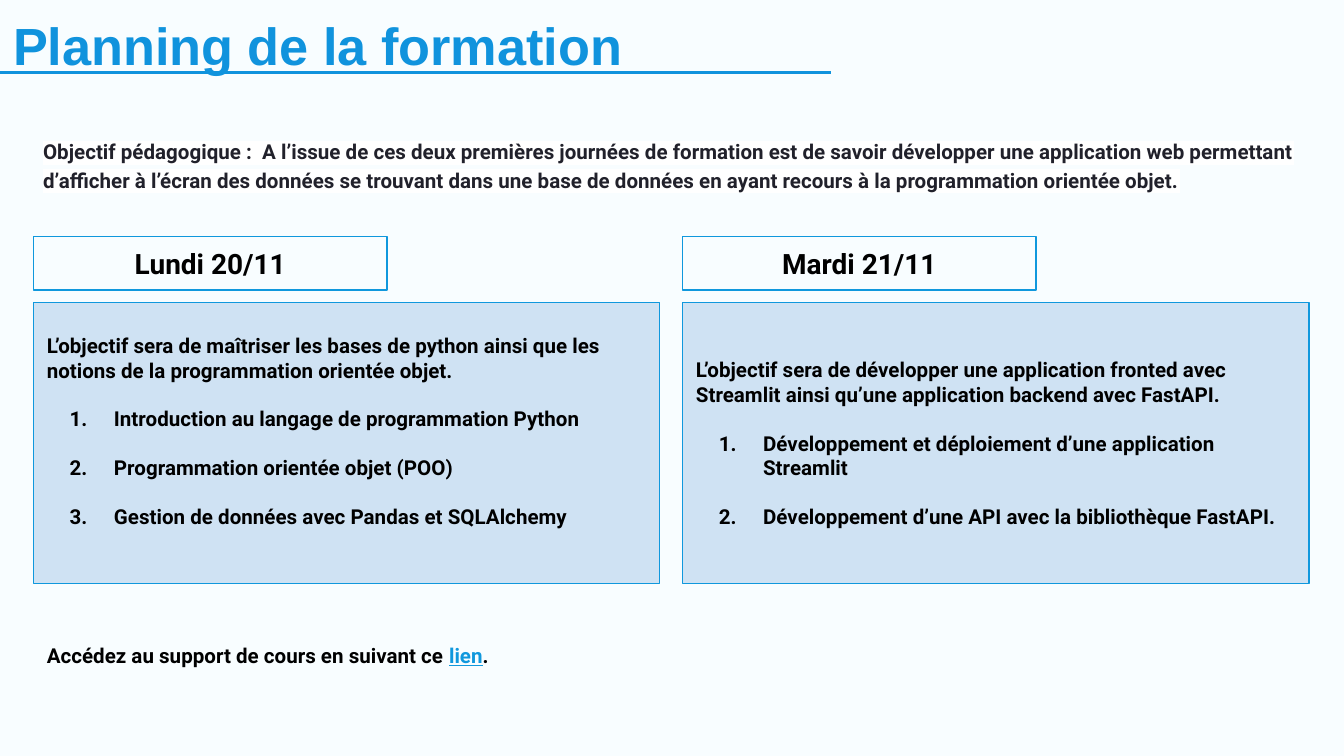
from dataclasses import dataclass

import lxml.etree
import pptx
import pptx.dml.color
import pptx.enum.shapes
import pptx.enum.text
import pptx.oxml.ns
import pptx.util

Inches = pptx.util.Inches
Pt = pptx.util.Pt
RGBColor = pptx.dml.color.RGBColor
Align = pptx.enum.text.PP_ALIGN
qn = pptx.oxml.ns.qn

BACKGROUND = RGBColor(0xF8, 0xFD, 0xFF)
TITLE_BLUE = RGBColor(0x10, 0x93, 0xDD)
BLUE = RGBColor(0x10, 0x98, 0xDD)
PALE_BLUE = RGBColor(0xCF, 0xE2, 0xF3)
BLACK = RGBColor(0, 0, 0)
DARK = RGBColor(0x21, 0x21, 0x2B)
WHITE = RGBColor(0xFF, 0xFF, 0xFF)

SLIDE_WIDTH = Inches(10)
SLIDE_HEIGHT = SLIDE_WIDTH * 9 // 16
MARGIN = 0.25
DAY_STEP = 4.83
INSET = 0.1
BLANK_LINE = 0.18


@dataclass(frozen=True)
class Day:
    heading: str
    goal: str
    topics: tuple[str, ...]
    bottom_inset: float = INSET


DAYS = (
    Day(
        "Lundi 20/11",
        "L’objectif sera de maîtriser les bases de python ainsi que les notions "
        "de la programmation orientée objet.",
        (
            "Introduction au langage de programmation Python",
            "Programmation orientée objet (POO)",
            "Gestion de données avec Pandas et SQLAlchemy",
        ),
        INSET + BLANK_LINE,
    ),
    Day(
        "Mardi 21/11",
        "L’objectif sera de développer une application fronted avec Streamlit "
        "ainsi qu’une application backend avec FastAPI.",
        (
            "Développement et déploiement d’une application Streamlit",
            "Développement d’une API avec la bibliothèque FastAPI.",
        ),
    ),
)


def add_run(paragraph, text: str, size: float = 11, color: RGBColor = BLACK,
            font: str = "Roboto"):
    run = paragraph.add_run()
    run.text = text
    run.font.name = font
    run.font.size = Pt(size)
    run.font.bold = True
    run.font.color.rgb = color
    return run


def highlight(run, color: RGBColor) -> None:
    mark = lxml.etree.Element(qn("a:highlight"))
    lxml.etree.SubElement(mark, qn("a:srgbClr"), val=str(color))
    run.font._element.find(qn("a:solidFill")).addnext(mark)


def number_paragraph(paragraph) -> None:
    properties = paragraph._p.get_or_add_pPr()
    properties.set("marL", str(Inches(0.5)))
    properties.set("indent", str(Inches(-0.33)))
    bullet_color = lxml.etree.SubElement(properties, qn("a:buClr"))
    lxml.etree.SubElement(bullet_color, qn("a:srgbClr"), val=str(BLACK))
    lxml.etree.SubElement(properties, qn("a:buFont"), typeface="Roboto")
    lxml.etree.SubElement(properties, qn("a:buAutoNum"), type="arabicPeriod")


def set_frame(frame, inset: float = INSET) -> None:
    frame.word_wrap = True
    frame.margin_left = frame.margin_right = Inches(inset)
    frame.margin_top = frame.margin_bottom = Inches(inset)


def add_text_box(slide, left: float, top: float, width: float, height: float,
                 inset: float = INSET):
    box = slide.shapes.add_textbox(
        Inches(left), Inches(top), Inches(width), Inches(height))
    set_frame(box.text_frame, inset)
    return box.text_frame.paragraphs[0]


def add_panel(slide, left: float, top: float, width: float, height: float,
              fill: RGBColor):
    panel = slide.shapes.add_shape(
        pptx.enum.shapes.MSO_SHAPE.RECTANGLE,
        Inches(left), Inches(top), Inches(width), Inches(height))
    panel.shadow.inherit = False
    panel.fill.solid()
    panel.fill.fore_color.rgb = fill
    panel.line.color.rgb = BLUE
    panel.line.width = Pt(0.75)
    set_frame(panel.text_frame)
    panel.text_frame.vertical_anchor = pptx.enum.text.MSO_ANCHOR.MIDDLE
    return panel.text_frame


def add_day(slide, day: Day, left: float) -> None:
    heading = add_panel(slide, left, 1.76, 2.63, 0.4, BACKGROUND).paragraphs[0]
    heading.alignment = Align.CENTER
    add_run(heading, day.heading, 15)

    program = add_panel(slide, left, 2.25, 4.66, 2.09, PALE_BLUE)
    program.margin_bottom = Inches(day.bottom_inset)
    goal = program.paragraphs[0]
    goal.alignment = Align.LEFT
    add_run(goal, day.goal)
    for topic in day.topics:
        paragraph = program.add_paragraph()
        number_paragraph(paragraph)
        paragraph.alignment = Align.LEFT
        paragraph.space_before = Inches(BLANK_LINE)
        add_run(paragraph, topic)


def add_title(slide) -> None:
    rule = slide.shapes.add_connector(
        pptx.enum.shapes.MSO_CONNECTOR.STRAIGHT,
        Inches(0), Inches(0.54), Inches(6.18), Inches(0.54))
    rule.line.color.rgb = TITLE_BLUE
    rule.line.width = Pt(1.5)
    lxml.etree.SubElement(rule._element.spPr, qn("a:effectLst"))
    title = add_text_box(slide, 0, 0, 6.18, 0.67)
    add_run(title, "Planning de la formation", 28, TITLE_BLUE, "Arial")


def main() -> None:
    presentation = pptx.Presentation()
    presentation.slide_width = SLIDE_WIDTH
    presentation.slide_height = SLIDE_HEIGHT
    slide = presentation.slides.add_slide(presentation.slide_layouts[6])
    slide.background.fill.solid()
    slide.background.fill.fore_color.rgb = BACKGROUND

    add_title(slide)
    for index, day in enumerate(DAYS):
        add_day(slide, day, MARGIN + index * DAY_STEP)

    objective = add_text_box(slide, MARGIN, 0.94, 9.48, 0.55, 0.07)
    objective.line_spacing = 1.15
    highlight(add_run(
        objective,
        "Objectif pédagogique :  A l’issue de ces deux premières journées de "
        "formation est de savoir développer une application web permettant "
        "d’afficher à l’écran des données se trouvant dans une base de données "
        "en ayant recours à la programmation orientée objet.",
        color=DARK), WHITE)

    support = add_text_box(slide, MARGIN, 4.69, 3.56, 0.39)
    add_run(support, "Accédez au support de cours en suivant ce ")
    add_run(support, "lien", color=BLUE).font.underline = True
    add_run(support, ".")

    presentation.save("out.pptx")


if __name__ == "__main__":
    main()
